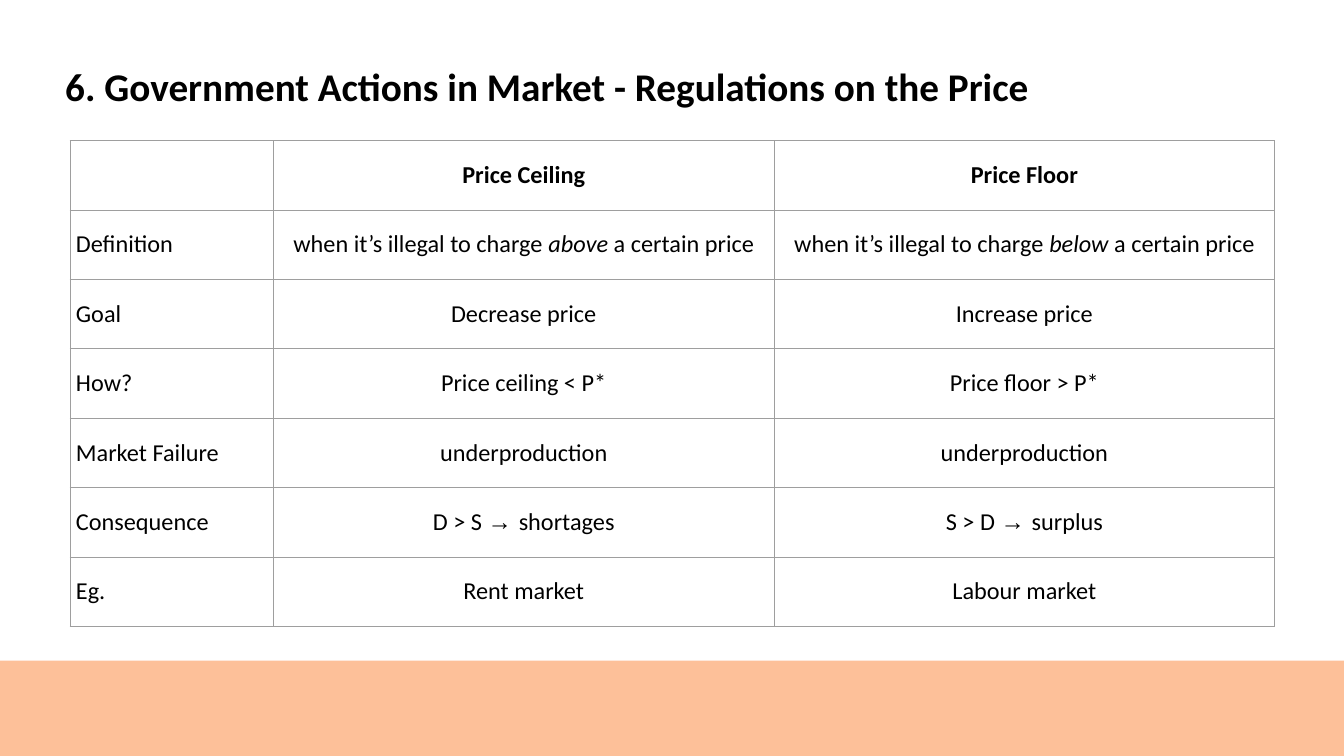
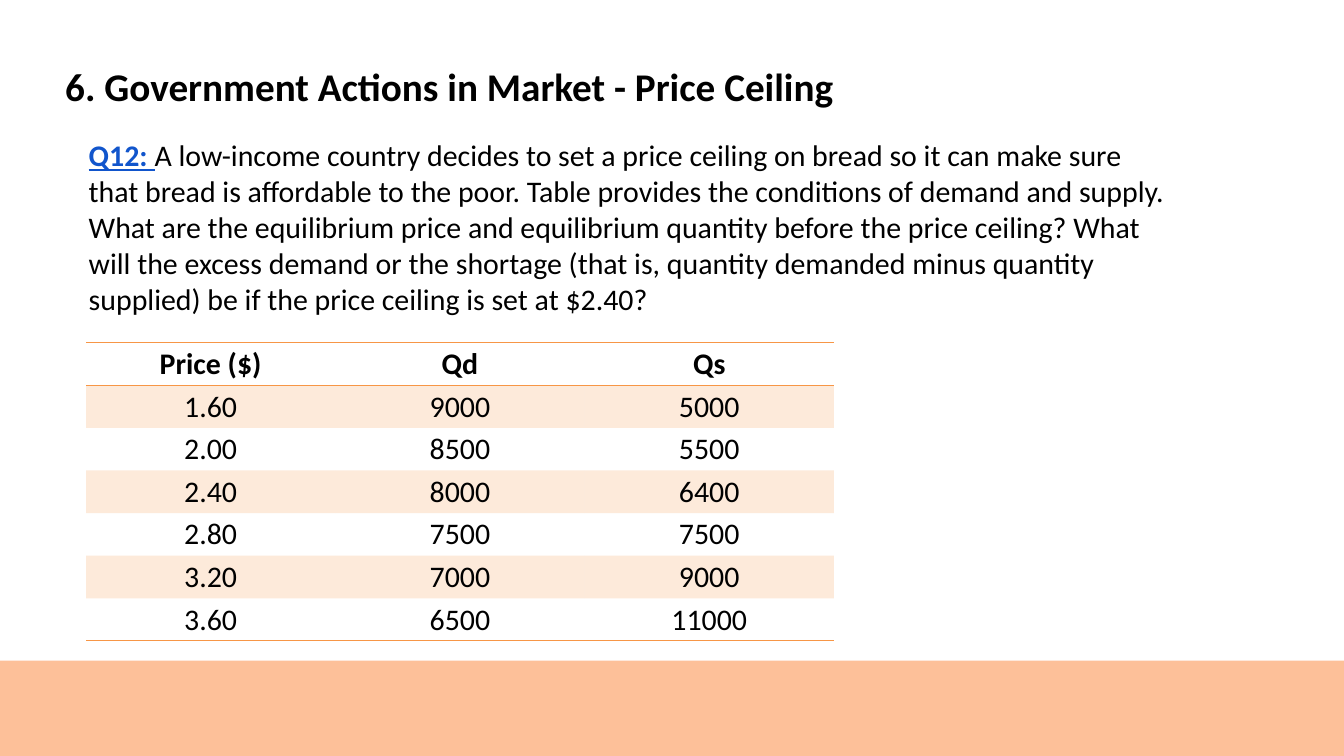
import pptx
import pptx.dml.color
import pptx.enum.shapes
import pptx.enum.text
import pptx.oxml
import pptx.oxml.ns
import pptx.util
from collections import namedtuple

# The page is a grid of 100 columns by 100 rows; boxes are given in grid units
Box = namedtuple("Box", "left top width height")
PAGE_WIDTH, PAGE_HEIGHT = pptx.util.Inches(20), pptx.util.Inches(11.25)
BAND_BOX = Box(0, 87.38, 100, 12.62)
TITLE_BOX = Box(3.95, 4.36, 83.55, 10.04)
COMPARISON_BOX = Box(5.2, 18.58, 89.6, 64.26)
QUESTION_BOX = Box(6.6, 18.04, 80.9, 39.91)
SCHEDULE_BOX = Box(6.4, 45.33, 55.65, 39.2)

FONT = "Calibri"
BLACK, PEACH, ORANGE, GREY, BLUE = "000000", "FDC099", "F79646", "9E9E9E", "1155CC"
PLAIN_TABLE_STYLE = "{2D5ABB26-0587-4C30-8999-92F81FD0307C}"
LEFT = pptx.enum.text.PP_ALIGN.LEFT
CENTER = pptx.enum.text.PP_ALIGN.CENTER
MIDDLE = pptx.enum.text.MSO_ANCHOR.MIDDLE

TOPIC = "6. Government Actions in Market - "
ARROW = ("→ ", {"name": "Arial"})


def definition(direction):
    return ["when it’s illegal to charge ", (direction + " ", {"italic": True}),
            "a certain price"]


COMPARISON = [
    ["", "Price Ceiling", "Price Floor"],
    ["Definition", definition("above"), definition("below")],
    ["Goal", "Decrease price", "Increase price"],
    ["How?", "Price ceiling < P*", "Price floor > P*"],
    ["Market Failure", "underproduction", "underproduction"],
    ["Consequence", ["D > S ", ARROW, "shortages"], ["S > D ", ARROW, "surplus"]],
    ["Eg.", "Rent market", "Labour market"],
]
SCHEDULE = [
    ["Price ($)", "Qd", "Qs"],
    ["1.60", "9000", "5000"],
    ["2.00", "8500", "5500"],
    ["2.40", "8000", "6400"],
    ["2.80", "7500", "7500"],
    ["3.20", "7000", "9000"],
    ["3.60", "6500", "11000"],
]
QUESTION = (
    "A low-income country decides to set a price ceiling on bread so it can make sure "
    "that bread is affordable to the poor. Table provides the conditions of demand and "
    "supply. What are the equilibrium price and equilibrium quantity before the price "
    "ceiling? What will the excess demand or the shortage (that is, quantity demanded "
    "minus quantity supplied) be if the price ceiling is set at $2.40?"
)


def columns(count):
    return round(PAGE_WIDTH * count / 100)


def rows(count):
    return round(PAGE_HEIGHT * count / 100)


def placed(box):
    return columns(box.left), rows(box.top), columns(box.width), rows(box.height)


def color(value):
    return pptx.dml.color.RGBColor.from_string(value)


def set_margins(holder, left=0, top=0, right=0, bottom=0):
    holder.margin_left, holder.margin_right = columns(left), columns(right)
    holder.margin_top, holder.margin_bottom = rows(top), rows(bottom)


def write(para, content, size, bold=False, align=LEFT):
    """Fill a paragraph from a string or a list of strings and (string, style) pairs."""
    para.alignment = align
    para.font.name, para.font.size, para.font.bold = FONT, pptx.util.Pt(size), bold
    para.font.color.rgb = color(BLACK)
    for piece in [content] if isinstance(content, str) else content:
        words, style = (piece, {}) if isinstance(piece, str) else piece
        if words:
            span = para.add_run()
            span.text = words
            for name, value in style.items():
                setattr(span.font, name, value)


def add_border(cell, sides, line_color, width):
    for side in sides:
        cell._tc.get_or_add_tcPr().append(pptx.oxml.parse_xml(
            f'<a:ln{side} {pptx.oxml.ns.nsdecls("a")} w="{pptx.util.Pt(width)}">'
            f'<a:solidFill><a:srgbClr val="{line_color}"/></a:solidFill></a:ln{side}>'))


def add_plain_table(page, box, values, weights):
    """Add an unstyled table; columns follow the weights, rows are equal."""
    frame = page.shapes.add_table(len(values), len(weights), *placed(box))
    frame.element.find(".//" + pptx.oxml.ns.qn("a:tableStyleId")).text = PLAIN_TABLE_STYLE
    table = frame.table
    table.first_row = table.horz_banding = False
    for column, weight in zip(table.columns, weights):
        column.width = columns(box.width * weight / sum(weights))
    for row in table.rows:
        row.height = rows(box.height / len(values))
    return table


def add_band(deck, page):
    # The band belongs to the master, beneath everything else
    band = page.shapes.add_shape(pptx.enum.shapes.MSO_SHAPE.RECTANGLE, *placed(BAND_BOX))
    band.shadow.inherit = False
    band.fill.solid()
    band.fill.fore_color.rgb = color(PEACH)
    band.line.fill.background()
    deck.slide_master.shapes.element.insert(2, band.element)


def add_page(deck, heading):
    page = deck.slides.add_slide(deck.slide_layouts.get_by_name("Title Only"))
    title = page.shapes.title
    title.left, title.top, title.width, title.height = placed(TITLE_BOX)
    frame = title.text_frame
    frame.word_wrap = True
    frame.auto_size = pptx.enum.text.MSO_AUTO_SIZE.NONE
    frame.vertical_anchor = pptx.enum.text.MSO_ANCHOR.TOP
    set_margins(frame, left=0.9, top=3.82)
    write(frame.paragraphs[0], TOPIC + heading, 42, bold=True)
    return page


def add_comparison(page, box):
    table = add_plain_table(page, box, COMPARISON, [15.1, 37.35, 37.15])
    for r, values in enumerate(COMPARISON):
        for c, content in enumerate(values):
            cell = table.cell(r, c)
            set_margins(cell, left=0 if c else 0.45)
            cell.vertical_anchor = MIDDLE
            write(cell.text_frame.paragraphs[0], content, 26, bold=r == 0,
                  align=CENTER if c else LEFT)
            add_border(cell, "LRTB", GREY, 0.75)
            cell.fill.background()


def add_question(page, box):
    frame = page.shapes.add_textbox(*placed(box)).text_frame
    frame.word_wrap = True
    set_margins(frame, top=0.1)
    para = frame.paragraphs[0]
    write(para, [("Q12: ", {"bold": True, "underline": True}), QUESTION], 32)
    para.runs[0].font.color.rgb = color(BLUE)


def add_schedule(page, box):
    table = add_plain_table(page, box, SCHEDULE, [1, 1, 1])
    last = len(SCHEDULE) - 1
    for r, values in enumerate(SCHEDULE):
        for c, content in enumerate(values):
            cell = table.cell(r, c)
            write(cell.text_frame.paragraphs[0], content, 32, bold=r == 0, align=CENTER)
            add_border(cell, {0: "TB", last: "B"}.get(r, ""), ORANGE, 1)
            # Odd rows carry a light tint
            if r % 2:
                cell.fill.solid()
                cell.fill.fore_color.rgb = color(ORANGE)
                tint = cell._tc.tcPr.find(
                    pptx.oxml.ns.qn("a:solidFill") + "/" + pptx.oxml.ns.qn("a:srgbClr"))
                tint.append(pptx.oxml.parse_xml(
                    f'<a:alpha {pptx.oxml.ns.nsdecls("a")} val="20000"/>'))
            else:
                cell.fill.background()


def main():
    deck = pptx.Presentation()
    deck.slide_width, deck.slide_height = PAGE_WIDTH, PAGE_HEIGHT

    regulations = add_page(deck, "Regulations on the Price")
    add_band(deck, regulations)
    add_comparison(regulations, COMPARISON_BOX)

    ceiling = add_page(deck, "Price Ceiling")
    add_question(ceiling, QUESTION_BOX)
    add_schedule(ceiling, SCHEDULE_BOX)

    deck.save("out.pptx")


if __name__ == "__main__":
    main()
